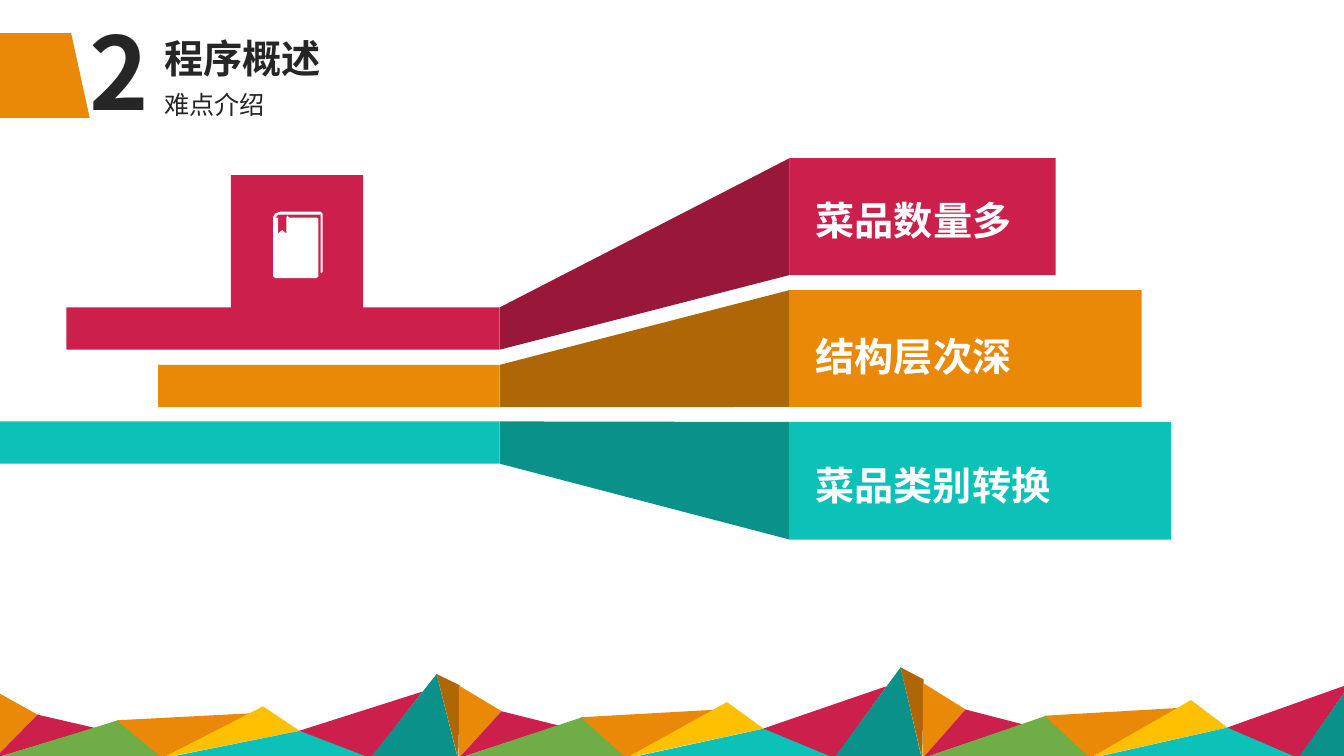
from pptx import Presentation
from pptx.dml.color import RGBColor
from pptx.enum.shapes import MSO_SHAPE
from pptx.enum.text import MSO_ANCHOR, MSO_AUTO_SIZE, PP_ALIGN
from pptx.util import Pt

CRIMSON = RGBColor(0xCC, 0x1F, 0x4C)
DARK_CRIMSON = RGBColor(0x99, 0x17, 0x39)
ORANGE = RGBColor(0xEA, 0x88, 0x07)
DARK_ORANGE = RGBColor(0xAF, 0x66, 0x05)
TEAL = RGBColor(0x0C, 0xC1, 0xB8)
DARK_TEAL = RGBColor(0x09, 0x91, 0x8A)
GREEN = RGBColor(0x6F, 0xAD, 0x46)
GOLD = RGBColor(0xFE, 0xC0, 0x01)
WHITE = RGBColor(0xFF, 0xFF, 0xFF)
INK = RGBColor(0x26, 0x26, 0x26)
FONT = "Noto Sans CJK SC"

SLIDE_WIDTH, SLIDE_HEIGHT = 960, 540
GROUND = 541.5
RANGE_START, RANGE_STEP = -3.6, 331.4
RANGE_SCALES = (1, 1.08, 1.12)
# Colour and corners (distance from the range's start, height above ground)
MOUNTAINS = [
    (ORANGE, [(0, 0), (0, 48), (30.5, 31)]),
    (CRIMSON, [(0, 0), (30.5, 31), (71.5, 21.5)]),
    (GREEN, [(0, 0), (88, 27), (121, 0)]),
    (ORANGE, [(87, 27), (183, 32), (119.5, 0)]),
    (GOLD, [(217.5, 19.5), (119.5, 0), (191.5, 37)]),
    (TEAL, [(270, 0), (121, 0), (218, 19.5)]),
    (CRIMSON, [(268.5, 0), (217.5, 19.5), (305.5, 47.5)]),
    (DARK_TEAL, [(330.5, 0), (268, 0), (315.5, 60)]),
    (DARK_ORANGE, [(332, 52), (331, -1), (315.5, 60)]),
]

FOLD_LEFT, FOLD_RIGHT = 357, 564
BAR_HEIGHT = 30.2
# Text, text top, colours, bar left and top, panel top, width and height
RIBBONS = [
    ("菜品数量多", 126.7, CRIMSON, DARK_CRIMSON, 47.5, 219.6, 113, 190, 83.5),
    ("结构层次深", 223.9, ORANGE, DARK_ORANGE, 113, 260.6, 207.2, 251.5, 83.5),
    ("菜品类别转换", 316.1, TEAL, DARK_TEAL, -1.4, 301, 301.4, 272.5, 84),
]

BOOK = [
    (229, 151.2), (200.2, 151.2), (196.6, 152.6), (195.1, 154.8),
    (195.1, 197.3), (196.6, 198.7), (226.1, 198.7), (227.5, 197.3),
    (227.5, 156.2), (226.1, 155.5), (206.6, 155.5), (205.2, 154.1),
    (204.5, 155.5), (204.5, 167), (201.6, 164.2), (198.7, 167),
    (198.7, 155.5), (196.6, 155.5), (198.7, 153.4), (229, 153.4),
    (229, 195.1), (230.4, 194.4), (230.4, 152.6),
]


def paint(shape, color):
    shape.shadow.inherit = False
    shape.fill.solid()
    shape.fill.fore_color.rgb = color
    shape.line.fill.background()


def add_block(shapes, left, top, width, height, color, kind=MSO_SHAPE.RECTANGLE):
    block = shapes.add_shape(kind, Pt(left), Pt(top), Pt(width), Pt(height))
    paint(block, color)
    return block


def add_polygon(shapes, corners, color):
    points = [(Pt(x), Pt(y)) for x, y in corners]
    builder = shapes.build_freeform(*points[0])
    builder.add_line_segments(points[1:], close=True)
    paint(builder.convert_to_shape(), color)


def write(box, text, size, color, bold, spacing):
    frame = box.text_frame
    frame.text = text
    para = frame.paragraphs[0]
    para.alignment = PP_ALIGN.LEFT
    para.line_spacing = spacing
    para.space_before = Pt(0)
    font = para.runs[0].font
    font.name, font.size, font.bold = FONT, Pt(size), bold
    font.color.rgb = color


def fill_placeholder(box, text, left, top, width, height, size, bold):
    box.left, box.top, box.width, box.height = Pt(left), Pt(top), Pt(width), Pt(height)
    write(box, text, size, INK, bold, 0.9)
    box.text_frame.vertical_anchor = MSO_ANCHOR.MIDDLE
    box.text_frame.auto_size = MSO_AUTO_SIZE.NONE


def add_mountains(page):
    shapes = page.shapes.add_group_shape().shapes
    for index, scale in enumerate(RANGE_SCALES):
        start = RANGE_START + index * RANGE_STEP
        for color, corners in MOUNTAINS:
            points = [(start + x, GROUND - scale * y) for x, y in corners]
            if min(points)[0] < SLIDE_WIDTH:
                add_polygon(shapes, points, color)


def add_heading(page):
    tab = add_block(page.shapes, 0.7, 20.9, 60.5, 66.2, ORANGE,
                    MSO_SHAPE.FLOWCHART_MANUAL_INPUT)
    tab.rotation = 90
    number, spare_left, subtitle, spare_right = list(page.placeholders)[1:]
    fill_placeholder(number, "2", 56.9, 20, 53.3, 71.3, 72, True)
    fill_placeholder(page.shapes.title, "程序概述", 110.2, 25.2, 248.4, 36.7, 28, True)
    fill_placeholder(subtitle, "难点介绍", 110.2, 61.9, 248.4, 27.4, 18, False)
    for spare in (spare_left, spare_right):
        spare.element.getparent().remove(spare.element)


def add_ribbon(page, text, text_top, color, shade, bar_left, bar_top,
               panel_top, panel_width, panel_height):
    """Draw a flat bar, the fold that widens it, and the labelled panel."""
    shapes = page.shapes
    add_block(shapes, FOLD_RIGHT, panel_top, panel_width, panel_height, color)
    add_block(shapes, bar_left, bar_top, FOLD_LEFT - bar_left, BAR_HEIGHT, color)
    add_polygon(shapes, [(FOLD_LEFT, bar_top), (FOLD_RIGHT, panel_top),
                         (FOLD_RIGHT, panel_top + panel_height),
                         (FOLD_LEFT, bar_top + BAR_HEIGHT)], shade)
    label = shapes.add_textbox(Pt(575.5), Pt(text_top), Pt(panel_width - 20), Pt(47))
    label.text_frame.word_wrap = True
    label.text_frame.auto_size = MSO_AUTO_SIZE.SHAPE_TO_FIT_TEXT
    write(label, text, 28, WHITE, True, 1.3)


def add_book_badge(page):
    shapes = page.shapes.add_group_shape().shapes
    add_block(shapes, 165, 125, 94.5, 98, CRIMSON)
    add_polygon(shapes, BOOK, WHITE)


def main():
    deck = Presentation()
    deck.slide_width, deck.slide_height = Pt(SLIDE_WIDTH), Pt(SLIDE_HEIGHT)
    page = deck.slides.add_slide(deck.slide_layouts.get_by_name("Comparison"))
    add_mountains(page)
    add_heading(page)
    for ribbon in RIBBONS:
        add_ribbon(page, *ribbon)
    add_book_badge(page)
    deck.save("out.pptx")


if __name__ == "__main__":
    main()
